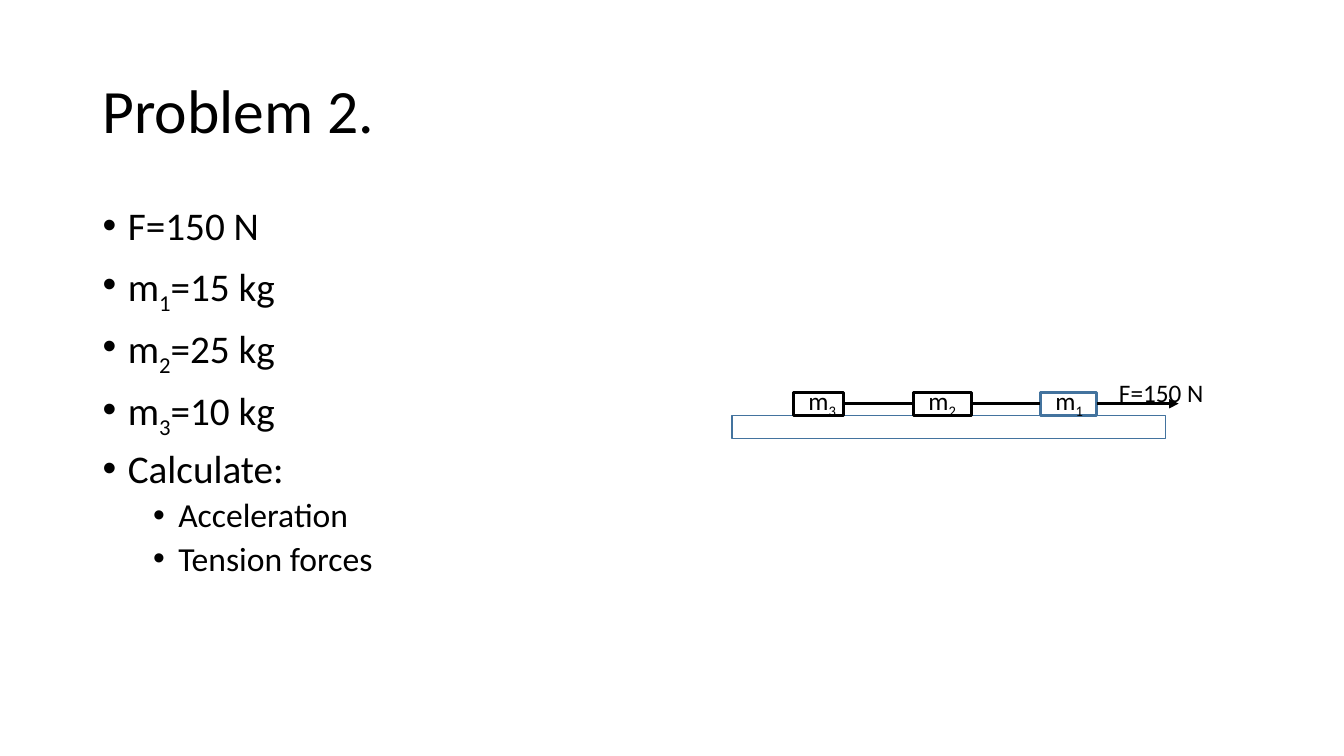
import pptx
import pptx.dml.color
import pptx.enum.shapes
import pptx.enum.text
import pptx.oxml.ns
import pptx.util
from lxml import etree

Inches, Pt = pptx.util.Inches, pptx.util.Pt
BLACK = pptx.dml.color.RGBColor(0x00, 0x00, 0x00)
WHITE = pptx.dml.color.RGBColor(0xFF, 0xFF, 0xFF)
BLUE = pptx.dml.color.RGBColor(0x43, 0x73, 0x9E)
FONT = "Calibri"
GIVENS = [
    (["F=150 N"], 0),
    (["m", "1", "=15 kg"], 0),
    (["m", "2", "=25 kg"], 0),
    (["m", "3", "=10 kg"], 0),
    (["Calculate:"], 0),
    (["Acceleration"], 1),
    (["Tension forces"], 1),
]
MASSES = [("3", 0.61, 0.5, BLACK), ("2", 1.8, 0.58, BLACK), ("1", 3.06, 0.56, BLUE)]


def add_runs(p, parts, size):
    """Write the parts as runs, with every second one as a subscript."""
    for i, part in enumerate(parts):
        r = p.add_run()
        r.text = part
        r.font.name, r.font.size = FONT, Pt(size)
        r.font.color.rgb = BLACK
        if i % 2:
            r._r.get_or_add_rPr().set("baseline", "-25000")


def add_box(s, x, y, w, h, wrap=True):
    """Add a text box and return its text frame."""
    tf = s.shapes.add_textbox(Inches(x), Inches(y), Inches(w), Inches(h)).text_frame
    tf.word_wrap = wrap
    return tf


def add_title(s, x, y, w, h):
    """Place the slide title, centred vertically in its box."""
    tf = add_box(s, x, y, w, h)
    tf.vertical_anchor = pptx.enum.text.MSO_ANCHOR.MIDDLE
    p = tf.paragraphs[0]
    p.line_spacing = 0.9
    add_runs(p, ["Problem 2."], 44)


def add_givens(s, x, y, w, h):
    """Place the bulleted list of givens and tasks."""
    tf = add_box(s, x, y, w, h)
    for i, (parts, level) in enumerate(GIVENS):
        p = tf.add_paragraph() if i else tf.paragraphs[0]
        pPr = p._p.get_or_add_pPr()
        pPr.set("marL", str(Inches(0.25 + 0.5 * level)))
        pPr.set("indent", str(Inches(-0.25)))
        etree.SubElement(pPr, pptx.oxml.ns.qn("a:buFont")).set("typeface", "Arial")
        etree.SubElement(pPr, pptx.oxml.ns.qn("a:buChar")).set("char", "•")
        p.level = level
        p.line_spacing = 0.9
        if i:
            p.space_before = Pt(5 if level else 10)
        add_runs(p, parts, 24 if level else 28)


def add_rect(s, x, y, w, h, color, width):
    """Add a white rectangle with a coloured outline."""
    sp = s.shapes.add_shape(pptx.enum.shapes.MSO_SHAPE.RECTANGLE,
                            Inches(x), Inches(y), Inches(w), Inches(h))
    sp.shadow.inherit = False
    sp.fill.solid()
    sp.fill.fore_color.rgb = WHITE
    sp.line.color.rgb = color
    sp.line.width = Pt(width)
    return sp


def add_rope(s, x1, x2, y, start, end=None):
    """Draw a rope from a block to the next one, or a force arrow if there is none."""
    c = s.shapes.add_connector(pptx.enum.shapes.MSO_CONNECTOR.STRAIGHT,
                               Inches(x1), Inches(y), Inches(x2), Inches(y))
    c.line.color.rgb = BLACK
    c.line.width = Pt(2.25)
    c.begin_connect(start, 3)
    if end is not None:
        c.end_connect(end, 1)
    else:
        tail = etree.SubElement(c.line._get_or_add_ln(), pptx.oxml.ns.qn("a:tailEnd"))
        tail.set("type", "triangle")
    etree.SubElement(c._element.spPr, pptx.oxml.ns.qn("a:effectLst"))


def add_diagram(s, x, y, w, h):
    """Draw three roped blocks on a track, pulled to the right by a force."""
    block_h = h / 2
    mid = y + block_h / 2
    add_rect(s, x, y + block_h, w, block_h, BLUE, 1)
    blocks = [add_rect(s, x + dx, y, bw, block_h, color, 2.25)
              for _, dx, bw, color in MASSES]
    for i, (_, dx, bw, _) in enumerate(MASSES):
        last = i == len(MASSES) - 1
        end_x = x + (4.43 if last else MASSES[i + 1][1])
        add_rope(s, x + dx + bw, end_x, mid, blocks[i], None if last else blocks[i + 1])
    force = add_box(s, x + 3.74, y - 0.2, 1.07, 0.4, wrap=False)
    add_runs(force.paragraphs[0], ["F=150 N"], 18)
    for number, dx, _, _ in MASSES:
        label = add_box(s, x + dx + 0.05, y - 0.12, 0.84, 0.4)
        add_runs(label.paragraphs[0], ["m", number], 18)


def main():
    """Build the slide and save it."""
    prs = pptx.Presentation()
    prs.slide_width, prs.slide_height = Inches(13.33), Inches(7.5)
    s = prs.slides.add_slide(prs.slide_layouts[6])
    add_title(s, 0.92, 0.4, 11.5, 1.45)
    add_givens(s, 0.92, 2, 5.67, 4.76)
    add_diagram(s, 7.26, 3.89, 4.3, 0.46)
    prs.save("out.pptx")


if __name__ == "__main__":
    main()
